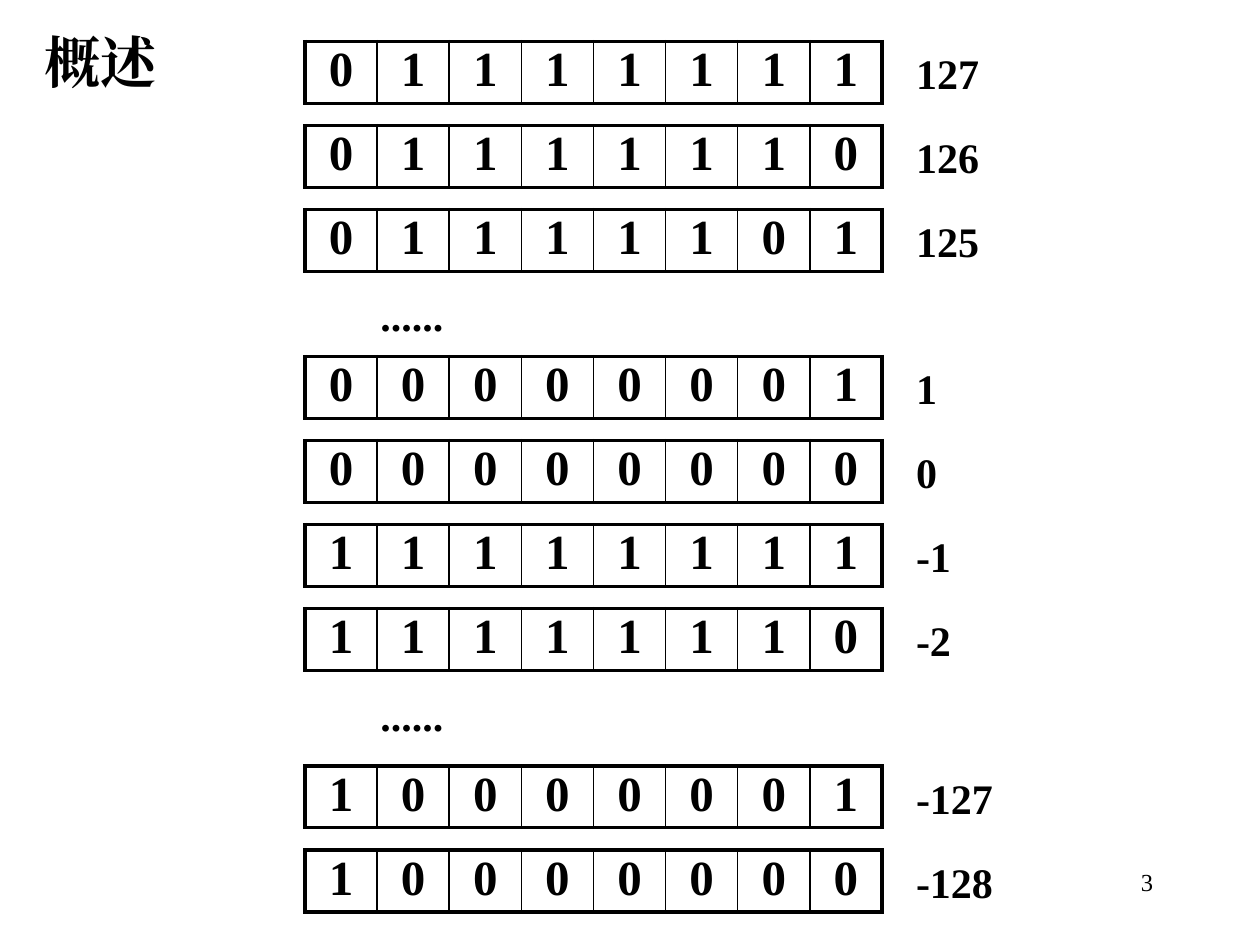
from dataclasses import dataclass

from lxml import etree
from pptx import Presentation
from pptx import util as u
from pptx.dml.color import RGBColor
from pptx.enum import text
from pptx.oxml.ns import qn


@dataclass(frozen=True)
class Theme:
    font: str = "Times New Roman"
    ink: str = "000000"
    paper: str = "FFFFFF"
    title: int = 32
    bit: int = 28
    label: int = 24
    number: int = 14
    outer: float = 2.25
    inner: float = 1


THEME = Theme()
BITS = 8
PITCH = 2 / 3
GROUPS = [(0.33, (127, 126, 125)), (2.83, (1, 0, -1, -2)), (6.08, (-127, -128))]
ELLIPSES = [(2.25, 3), (5.42, 3.17)]


def write(p, content, size, bold=True):
    r = p.add_run()
    r.text = content
    r.font.name = THEME.font
    r.font.size = u.Pt(size)
    r.font.bold = bold
    r.font.color.rgb = RGBColor.from_string(THEME.ink)
    return r


def set_insets(frame):
    frame.margin_left = frame.margin_right = u.Inches(0.02)
    frame.margin_top = frame.margin_bottom = u.Inches(0.01)


def add_title(s, content):
    sp = s.shapes.title
    sp.left, sp.top = u.Inches(0.25), u.Inches(0.17)
    sp.width, sp.height = u.Inches(1.09), u.Inches(0.63)
    sp.fill.solid()
    sp.fill.fore_color.rgb = RGBColor.from_string(THEME.paper)
    tf = sp.text_frame
    tf.word_wrap = False
    tf.auto_size = text.MSO_AUTO_SIZE.NONE
    tf.vertical_anchor = text.MSO_ANCHOR.TOP
    p = tf.paragraphs[0]
    p.alignment = text.PP_ALIGN.LEFT
    r = write(p, content, THEME.title)
    etree.SubElement(r.font._element, qn("a:ea"), typeface=THEME.font)


def add_label(s, content, left, top, width):
    sp = s.shapes.add_textbox(u.Inches(left), u.Inches(top), u.Inches(width), u.Inches(0.46))
    tf = sp.text_frame
    tf.word_wrap = True
    set_insets(tf)
    p = tf.paragraphs[0]
    p.line_spacing = 1.1
    write(p, content, THEME.label)


def set_borders(cell, widths):
    props = cell._tc.get_or_add_tcPr()
    for i, (side, width) in enumerate(widths.items()):
        ln = etree.Element(qn(f"a:{side}"), w=str(u.Pt(width)))
        fill = etree.SubElement(ln, qn("a:solidFill"))
        etree.SubElement(fill, qn("a:srgbClr"), val=THEME.ink)
        props.insert(i, ln)


def add_byte(s, value, top):
    width = u.Inches(4.58)
    frame = s.shapes.add_table(1, BITS, u.Inches(2.42), u.Inches(top), width, u.Inches(0.49))
    table = frame.table
    table.first_row = table.horz_banding = False
    for i, bit in enumerate(f"{value % 2**BITS:0{BITS}b}"):
        table.columns[i].width = width // BITS
        cell = table.cell(0, i)
        cell.fill.background()
        set_insets(cell)
        p = cell.text_frame.paragraphs[0]
        p.alignment = text.PP_ALIGN.CENTER
        write(p, bit, THEME.bit)
        set_borders(cell, {
            "lnL": THEME.outer if i == 0 else THEME.inner,
            "lnR": THEME.outer if i == BITS - 1 else THEME.inner,
            "lnT": THEME.outer,
            "lnB": THEME.outer,
        })


def add_page_number(s, number):
    sp = s.shapes.add_textbox(u.Inches(7.17), u.Inches(6.83), u.Inches(2.08), u.Inches(0.5))
    tf = sp.text_frame
    tf.word_wrap = True
    p = tf.paragraphs[0]
    p.alignment = text.PP_ALIGN.RIGHT
    write(p, number, THEME.number, bold=False)


def main():
    prs = Presentation()
    prs.slide_width, prs.slide_height = u.Inches(10), u.Inches(7.5)
    s = prs.slides.add_slide(prs.slide_layouts[5])
    add_page_number(s, "3")
    add_title(s, "概述")
    for start, values in GROUPS:
        for i, value in enumerate(values):
            top = start + i * PITCH
            add_byte(s, value, top)
            add_label(s, str(value), 7.25, top, 0.92)
    for top, width in ELLIPSES:
        add_label(s, "......", 3, top, width)
    prs.save("out.pptx")


if __name__ == "__main__":
    main()
